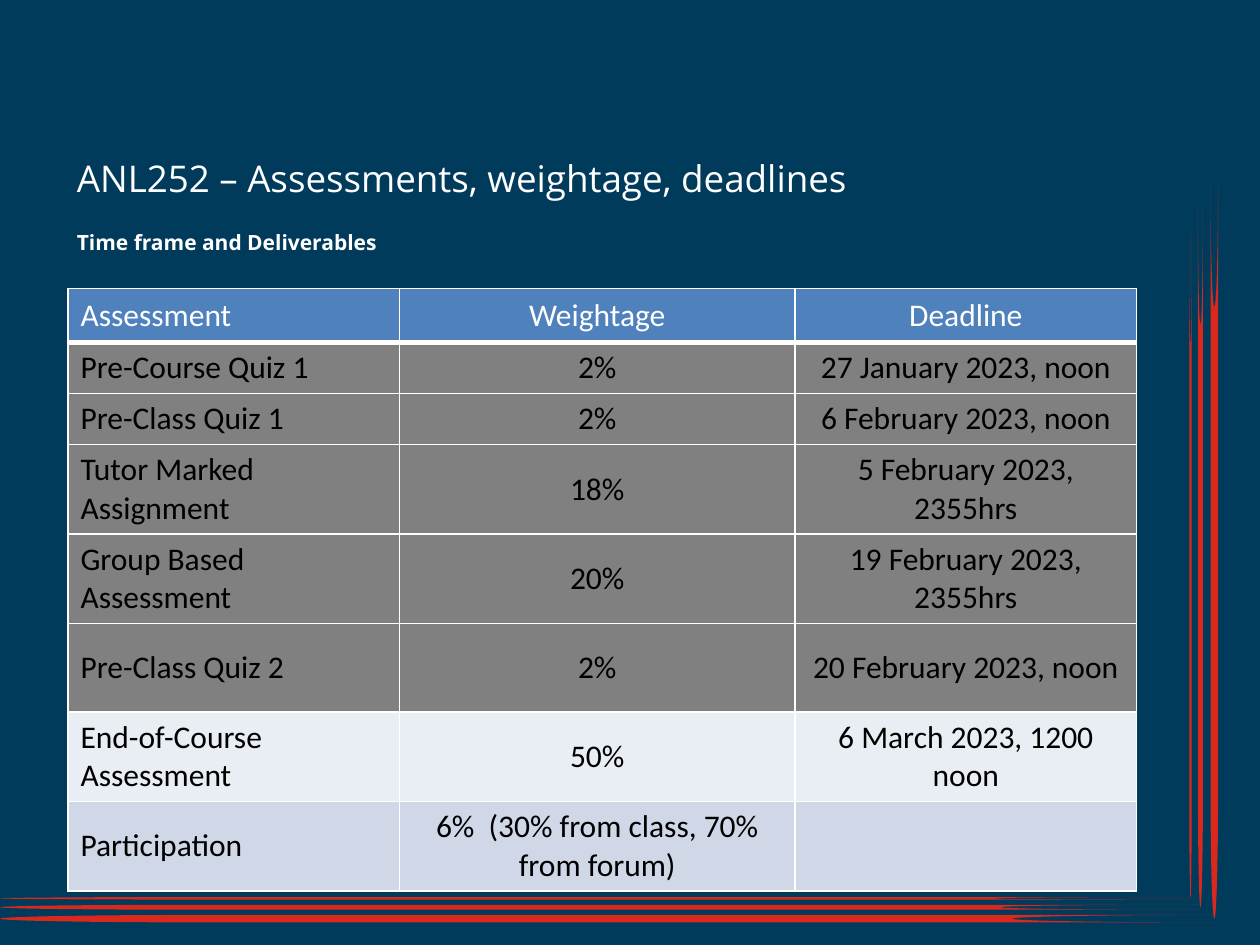
from lxml import etree
from pptx import Presentation
from pptx.dml.color import RGBColor
from pptx.enum import shapes, text
from pptx.oxml.ns import qn
from pptx.util import Cm, Pt

HEADING = "ANL252 – Assessments, weightage, deadlines"
SUBHEADING = "Time frame and Deliverables"
ASSESSMENTS = [
    ("Assessment", "Weightage", "Deadline"),
    ("Pre-Course Quiz 1", "2%", "27 January 2023, noon"),
    ("Pre-Class Quiz 1", "2%", "6 February 2023, noon"),
    ("Tutor Marked Assignment", "18%", "5 February 2023, 2355hrs"),
    ("Group Based Assessment", "20%", "19 February 2023, 2355hrs"),
    ("Pre-Class Quiz 2", "2%", "20 February 2023, noon"),
    ("End-of-Course Assessment", "50%", "6 March 2023, 1200 noon"),
    ("Participation", "6%  (30% from class, 70% from forum)", ""),
]
ROW_FILLS = ["header"] + ["closed"] * 5 + ["open_light", "open_dark"]
ROW_HEIGHTS = [1.08, 1.02, 1.02, 1.02, 1.78, 1.78, 1.78, 1.02]
COLUMN_WIDTHS = [6.68, 7.98, 6.88]

# corner x, corner y, upright length, thickness
STROKES = [
    (24.0, 18.11, 13.41, 0.05),
    (24.2, 18.29, 14.1, 0.1),
    (24.48, 18.52, 14.8, 0.15),
]

THEME = {
    "background": "003B5C", "stroke": "DA291C", "light": "FFFFFF", "dark": "000000",
    "header": "4F81BD", "closed": "808080", "open_light": "E9EDF4", "open_dark": "D0D8E8",
    "heading_font": "Open Sans", "table_font": "Calibri",
    "heading_size": 21, "subheading_size": 12, "table_size": 18,
}
LEFT = 1.37


def colour(name):
    return RGBColor.from_string(THEME[name])


def style(paragraph, font, size, ink, align, bold=False):
    paragraph.alignment = align
    for run in paragraph.runs:
        run.font.name = THEME[font]
        run.font.size = Pt(THEME[size])
        run.font.color.rgb = colour(ink)
        run.font.bold = bold


def write_heading(box, words, place, size, anchor, bold=False):
    box.left, box.top, box.width, box.height = map(Cm, place)
    frame = box.text_frame
    frame.text = words
    frame.word_wrap = True
    frame.auto_size = text.MSO_AUTO_SIZE.NONE
    frame.vertical_anchor = anchor
    frame.margin_left = frame.margin_right = Cm(0.18)
    frame.margin_top = frame.margin_bottom = Cm(0.1)
    style(frame.paragraphs[0], "heading_font", size, "light", text.PP_ALIGN.LEFT, bold)


def add_stroke(slide, centre_x, centre_y, length, thickness, rotation):
    stroke = slide.shapes.add_shape(
        shapes.MSO_SHAPE.FLOWCHART_STORED_DATA,
        Cm(centre_x - length / 2), Cm(centre_y - thickness / 2), Cm(length), Cm(thickness))
    stroke.rotation = rotation
    stroke.shadow.inherit = False
    stroke.fill.solid()
    stroke.fill.fore_color.rgb = colour("stroke")
    stroke.line.fill.background()


def add_borders(cell, bottom_width):
    properties = cell._tc.get_or_add_tcPr()
    widths = {"a:lnL": 1, "a:lnR": 1, "a:lnT": 1, "a:lnB": bottom_width}
    for position, (edge, width) in enumerate(widths.items()):
        line = etree.Element(qn(edge), w=str(Pt(width)))
        fill = etree.SubElement(line, qn("a:solidFill"))
        etree.SubElement(fill, qn("a:srgbClr"), val=THEME["light"])
        properties.insert(position, line)


def add_assessments(slide):
    table = slide.shapes.add_table(
        len(ASSESSMENTS), len(COLUMN_WIDTHS), Cm(LEFT), Cm(5.82),
        Cm(sum(COLUMN_WIDTHS)), Cm(sum(ROW_HEIGHTS))).table
    for column, width in zip(table.columns, COLUMN_WIDTHS):
        column.width = Cm(width)
    for r, (entries, fill, height) in enumerate(zip(ASSESSMENTS, ROW_FILLS, ROW_HEIGHTS)):
        table.rows[r].height = Cm(height)
        for c, entry in enumerate(entries):
            cell = table.cell(r, c)
            cell.text = entry
            cell.vertical_anchor = text.MSO_ANCHOR.MIDDLE
            cell.fill.solid()
            cell.fill.fore_color.rgb = colour(fill)
            add_borders(cell, 1 if r else 3)
            style(cell.text_frame.paragraphs[0], "table_font", "table_size",
                  "dark" if r else "light",
                  text.PP_ALIGN.CENTER if c else text.PP_ALIGN.LEFT)


def main():
    deck = Presentation()
    deck.slide_width, deck.slide_height = Cm(25.4), Cm(19.05)
    slide = deck.slides.add_slide(deck.slide_layouts[5])
    slide.background.fill.solid()
    slide.background.fill.fore_color.rgb = colour("background")

    for corner_x, corner_y, upright, thickness in STROKES:
        add_stroke(slide, corner_x / 2, corner_y, corner_x, thickness, 0)
        add_stroke(slide, corner_x, corner_y - upright / 2, upright, thickness, 270)

    write_heading(slide.shapes.title, HEADING, (LEFT, 2.95, 17.25, 1.27),
                  "heading_size", text.MSO_ANCHOR.MIDDLE)
    subheading = slide.shapes.add_textbox(0, 0, 0, 0)
    write_heading(subheading, SUBHEADING, (LEFT, 4.52, 15.72, 0.64),
                  "subheading_size", text.MSO_ANCHOR.TOP, bold=True)
    add_assessments(slide)
    deck.save("out.pptx")


if __name__ == "__main__":
    main()
